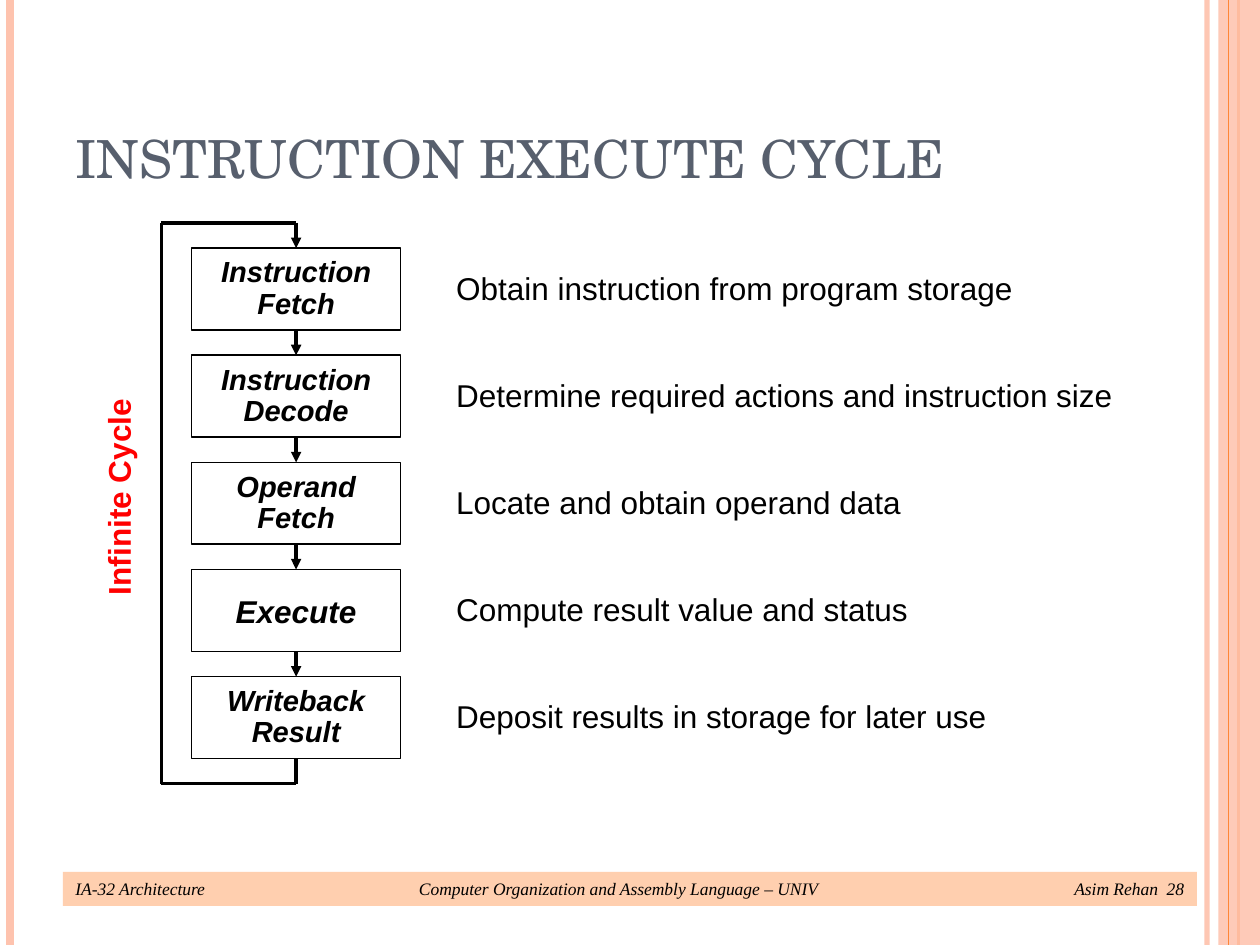
from itertools import pairwise

from lxml import etree
from pptx import Presentation
from pptx.dml.color import RGBColor
from pptx.enum.shapes import MSO_CONNECTOR, MSO_SHAPE
from pptx.enum.text import MSO_ANCHOR, MSO_AUTO_SIZE, PP_ALIGN
from pptx.oxml.ns import qn
from pptx.util import Inches, Pt

COLORS = {
    "black": "000000",
    "red": "FF0000",
    "title": "575F6D",
    "peach": "FEC3AE",
    "orange": "FE8637",
    "footer": "FFCFAF",
}

STAGES = [
    ("Instruction\nFetch", "Obtain instruction from program storage"),
    ("Instruction\nDecode", "Determine required actions and instruction size"),
    ("Operand\nFetch", "Locate and obtain operand data"),
    ("Execute", "Compute result value and status"),
    ("Writeback\nResult", "Deposit results in storage for later use"),
]


def rgb(name):
    return RGBColor.from_string(COLORS[name])


def set_alpha(fill_parent, percent):
    """Make the solid fill inside an spPr or ln element partly transparent."""
    color = fill_parent.find(qn("a:solidFill")).find(qn("a:srgbClr"))
    etree.SubElement(color, qn("a:alpha"), val=str(percent * 1000))


def add_line(s, start, end, color, width, arrow=False, alpha=None):
    points = [Inches(v) for v in (*start, *end)]
    line = s.shapes.add_connector(MSO_CONNECTOR.STRAIGHT, *points)
    line.line.color.rgb = rgb(color)
    line.line.width = Pt(width)
    sp_pr = line._element.spPr
    ln = sp_pr.find(qn("a:ln"))
    if alpha:
        set_alpha(ln, alpha)
    if arrow:
        etree.SubElement(ln, qn("a:tailEnd"), type="triangle")
    etree.SubElement(sp_pr, qn("a:effectLst"))


def add_rect(s, x, y, w, h, fill=None, line=None):
    sp = s.shapes.add_shape(MSO_SHAPE.RECTANGLE, Inches(x), Inches(y), Inches(w), Inches(h))
    sp.shadow.inherit = False
    if fill:
        sp.fill.solid()
        sp.fill.fore_color.rgb = rgb(fill)
    else:
        sp.fill.background()
    if line:
        sp.line.color.rgb = rgb(line)
        sp.line.width = Pt(1)
    else:
        sp.line.fill.background()
    return sp


def set_text(sp, text, size, color="black", font="Arial", align=PP_ALIGN.LEFT,
             anchor=MSO_ANCHOR.TOP, spacing=None, bold=False, italic=False,
             inset=(0.07, 0.03)):
    tf = sp.text_frame
    tf.word_wrap = True
    tf.auto_size = MSO_AUTO_SIZE.NONE
    tf.vertical_anchor = anchor
    tf.margin_left = tf.margin_right = Inches(inset[0])
    tf.margin_top = tf.margin_bottom = Inches(inset[1])
    tf.text = text
    for p in tf.paragraphs:
        p.alignment = align
        p.line_spacing = spacing
        p.font.name = font
        p.font.size = Pt(size)
        p.font.bold = bold
        p.font.italic = italic
        p.font.color.rgb = rgb(color)


def add_label(s, x, y, w, h, text, **style):
    sp = s.shapes.add_textbox(Inches(x), Inches(y), Inches(w), Inches(h))
    set_text(sp, text, 18, spacing=0.97, **style)
    return sp


def add_side_stripes(s, w, h):
    def stripe(x, color, width, alpha=None):
        add_line(s, (x, 0), (x, h), color, width, alpha=alpha)

    stripe(w - 0.42, "peach", 3, alpha=93)
    stripe(0.08, "peach", 4.5)
    stripe(w - 0.17, "orange", 1.5)
    band = add_rect(s, w - 0.33, 0, 0.33, h, fill="peach")
    set_alpha(band._element.spPr, 87)
    stripe(w - 0.25, "orange", 0.75)


def add_footer(s, x, y, w, h):
    sp = add_rect(s, x, y, w, h, fill="footer")
    text = "IA-32 Architecture\tComputer Organization and Assembly Language – UNIV\tAsim Rehan  28"
    set_text(sp, text, 10, font="Times New Roman", anchor=MSO_ANCHOR.MIDDLE,
             italic=True, inset=(0.1, 0))
    p_pr = sp.text_frame.paragraphs[0]._p.get_or_add_pPr()
    tabs = etree.Element(qn("a:tabLst"))
    for pos, align in ((4.31, "ctr"), (w - 0.2, "r")):
        etree.SubElement(tabs, qn("a:tab"), pos=str(Inches(pos)), algn=align)
    p_pr.find(qn("a:defRPr")).addprevious(tabs)


def add_title(s, x, y, w, h):
    title = s.shapes.title
    title.left, title.top, title.width, title.height = (Inches(v) for v in (x, y, w, h))
    set_text(title, "INSTRUCTION EXECUTE CYCLE", 30, "title", "TeX Gyre Schola",
             anchor=MSO_ANCHOR.BOTTOM, inset=(0.1, 0.05))


def add_cycle(s, x, y, box_w=1.66, box_h=0.65, gap=0.2):
    """Stack the stages with descriptions, and loop the last back to the first."""
    mid = x + box_w / 2
    pitch = box_h + gap
    for i, (stage, description) in enumerate(STAGES):
        top = y + i * pitch
        two_lines = "\n" in stage
        box = add_rect(s, x, top, box_w, box_h, line="black")
        set_text(box, stage, 16.6 if two_lines else 18, align=PP_ALIGN.CENTER,
                 anchor=MSO_ANCHOR.MIDDLE, spacing=0.9 if two_lines else 1.0,
                 bold=True, italic=True)
        add_line(s, (mid, top - gap), (mid, top), "black", 2, arrow=True)
        add_label(s, x + 2.03, top + 0.15, 5.4, 0.35, description)

    loop_x = x - 0.24
    loop_top = y - gap
    end = y + len(STAGES) * pitch - gap
    corners = [(mid, end), (mid, end + gap), (loop_x, end + gap),
               (loop_x, loop_top), (mid, loop_top)]
    for start, stop in pairwise(corners):
        add_line(s, start, stop, "black", 2)

    label_w = 4.92
    label = add_label(s, x - 0.57 - label_w / 2, y + 1.8, label_w, 0.35, "Infinite Cycle",
                      color="red", align=PP_ALIGN.CENTER, bold=True)
    label.rotation = 270


def main():
    prs = Presentation()
    prs.slide_width, prs.slide_height = Inches(10), Inches(7.5)
    s = prs.slides.add_slide(prs.slide_layouts[5])
    add_side_stripes(s, 10, 7.5)
    add_footer(s, 0.5, 6.92, 9, 0.27)
    add_title(s, 0.5, 0.3, 8.17, 1.25)
    add_cycle(s, 1.52, 1.97)
    prs.save("out.pptx")


if __name__ == "__main__":
    main()
